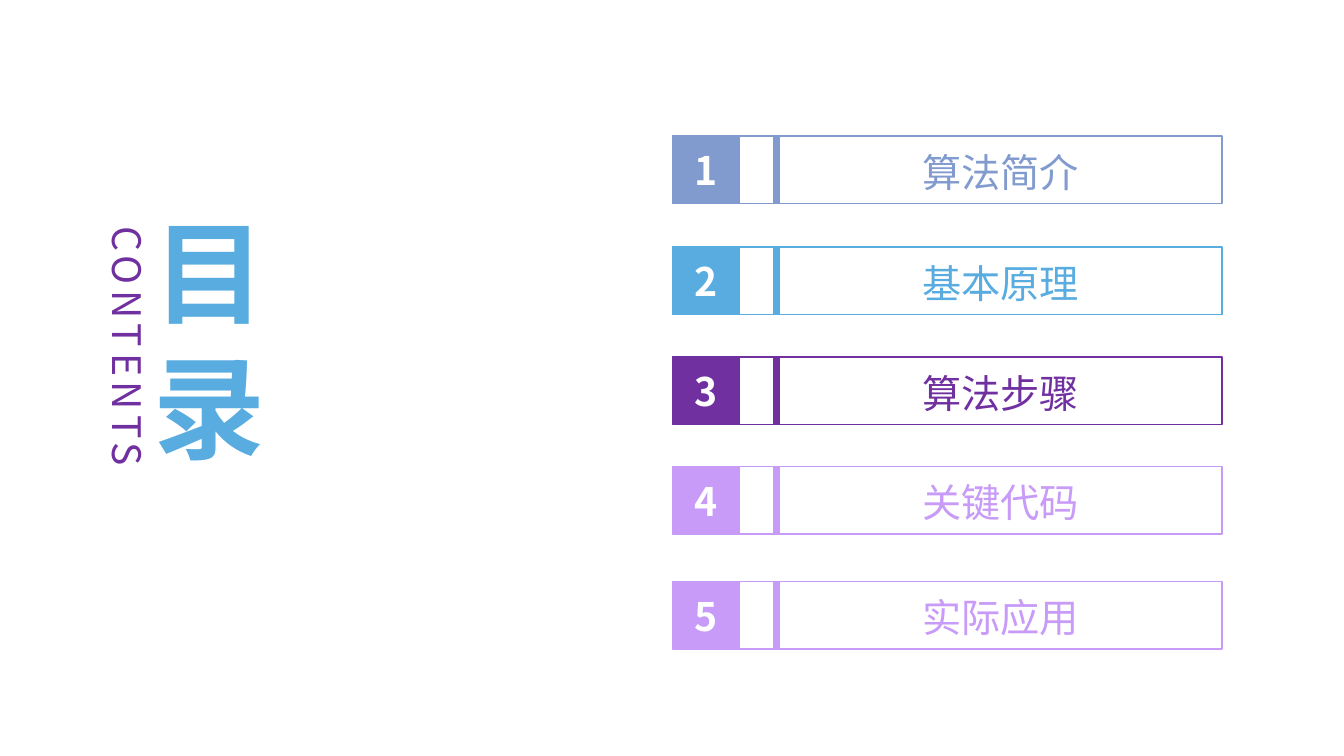
from dataclasses import dataclass

from lxml.etree import SubElement
from pptx import Presentation
from pptx.dml.color import RGBColor
from pptx.enum.shapes import MSO_CONNECTOR, MSO_SHAPE
from pptx.enum.text import MSO_ANCHOR, MSO_AUTO_SIZE, PP_ALIGN
from pptx.oxml.ns import qn
from pptx.shapes.autoshape import Shape
from pptx.slide import Slide
from pptx.text.text import TextFrame
from pptx.util import Emu, Pt

SCALE = 9144  # 100 px to the inch


@dataclass(frozen=True)
class Theme:
    font: str = "Noto Sans CJK SC"
    white: str = "FFFFFF"
    slate: str = "829BCF"
    blue: str = "58ACDF"
    purple: str = "7030A0"
    lilac: str = "C79BF7"
    title: int = 80
    body: int = 28
    rule: int = 1
    bar: int = 5


@dataclass(frozen=True)
class Entry:
    text: str
    top: int
    color: str


THEME = Theme()
ENTRIES = [
    Entry("算法简介", 135, THEME.slate),
    Entry("基本原理", 245, THEME.blue),
    Entry("算法步骤", 354, THEME.purple),
    Entry("关键代码", 463, THEME.lilac),
    Entry("实际应用", 577, THEME.lilac),
]
LEFT, WIDE, SIDE = 667, 545, 67
BAR_X = 770
LABEL_X, LABEL_W, LABEL_H, LABEL_DROP = 904, 177, 57, 7


def px(*values: int) -> list[Emu]:
    return [Emu(value * SCALE) for value in values]


def rgb(color: str) -> RGBColor:
    return RGBColor.from_string(color)


def write(frame: TextFrame, text: str, size: int, color: str,
          bold: bool = False, gap: int = 0) -> None:
    """Fill the frame with centred text; gap is letter spacing in points."""
    frame.text = text
    for line in frame.paragraphs:
        line.alignment = PP_ALIGN.CENTER
        for run in line.runs:
            font = run.font
            font.name, font.size, font.bold = THEME.font, Pt(size), bold
            font.color.rgb = rgb(color)
            props = run._r.get_or_add_rPr()
            SubElement(props, qn("a:ea"), typeface=THEME.font)
            if gap:
                props.set("spc", str(gap * 100))


def add_rect(slide: Slide, top: int, width: int) -> Shape:
    rect = slide.shapes.add_shape(MSO_SHAPE.RECTANGLE, *px(LEFT, top, width, SIDE))
    rect.shadow.inherit = False
    return rect


def add_label(slide: Slide, text: str, place: tuple[int, int, int, int],
              color: str, wrap: bool = False, gap: int = 0) -> Shape:
    label = slide.shapes.add_textbox(*px(*place))
    label.text_frame.word_wrap = wrap
    write(label.text_frame, text, THEME.body, color, gap=gap)
    return label


def add_bar(slide: Slide, top: int, color: str) -> None:
    bar = slide.shapes.add_connector(
        MSO_CONNECTOR.STRAIGHT, *px(BAR_X, top, BAR_X, top + SIDE))
    bar.line.color.rgb = rgb(color)
    bar.line.width = Pt(THEME.bar)
    SubElement(bar._element.spPr, qn("a:effectLst"))


def add_entry(slide: Slide, number: int, entry: Entry) -> None:
    place = (LABEL_X, entry.top + LABEL_DROP, LABEL_W, LABEL_H)
    add_label(slide, entry.text, place, entry.color)

    badge = add_rect(slide, entry.top, SIDE)
    badge.fill.solid()
    badge.fill.fore_color.rgb = rgb(entry.color)
    badge.line.fill.background()
    badge.text_frame.vertical_anchor = MSO_ANCHOR.MIDDLE
    write(badge.text_frame, str(number), THEME.body, THEME.white, bold=True)

    add_bar(slide, entry.top, entry.color)

    frame = add_rect(slide, entry.top, WIDE)
    frame.fill.background()
    frame.line.color.rgb = rgb(entry.color)
    frame.line.width = Pt(THEME.rule)


def set_title(slide: Slide) -> None:
    title = slide.shapes.title
    title.left, title.top, title.width, title.height = px(129, 185, 157, 301)
    frame = title.text_frame
    frame.auto_size = MSO_AUTO_SIZE.NONE
    frame.word_wrap = True
    frame.vertical_anchor = MSO_ANCHOR.MIDDLE
    frame.margin_left = frame.margin_right = 0
    frame.margin_top = frame.margin_bottom = 0
    write(frame, "目\n录", THEME.title, THEME.blue, bold=True)


def main() -> None:
    deck = Presentation()
    deck.slide_width, deck.slide_height = px(1333, 750)
    slide = deck.slides.add_slide(deck.slide_layouts[5])
    set_title(slide)
    side = add_label(slide, "CONTENTS", (-20, 315, 293, 57),
                     THEME.purple, wrap=True, gap=4)
    side.rotation = 90
    for number, entry in enumerate(ENTRIES, 1):
        add_entry(slide, number, entry)
    deck.save("out.pptx")


if __name__ == "__main__":
    main()
